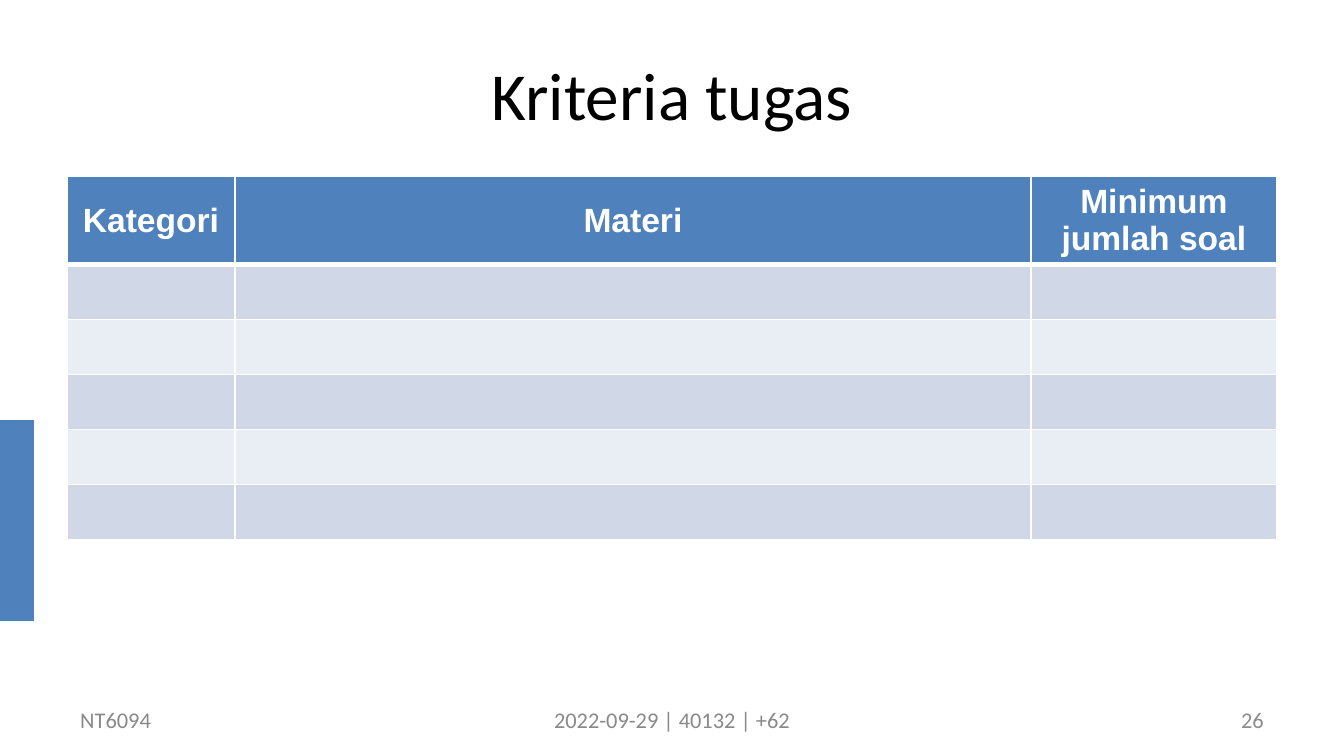
"""Build the "Kriteria tugas" slide with its empty criteria table."""
import pptx
import pptx.util
import pptx.dml.color
import pptx.enum.shapes
import pptx.enum.text
import pptx.oxml
import pptx.oxml.ns

RGB = pptx.dml.color.RGBColor
ALIGN = pptx.enum.text.PP_ALIGN
MIDDLE = pptx.enum.text.MSO_ANCHOR.MIDDLE

BLACK = RGB(0x00, 0x00, 0x00)
WHITE = RGB(0xFF, 0xFF, 0xFF)
BLUE = RGB(0x4F, 0x81, 0xBD)
BANDS = (RGB(0xD0, 0xD8, 0xE8), RGB(0xE9, 0xED, 0xF4))
FOOTER_GREY = RGB(0x89, 0x89, 0x89)
NUMBER_GREY = RGB(0x8C, 0x8C, 0x8C)

TITLE = "Kriteria tugas"
COLUMNS = [("Kategori", 168), ("Materi", 796), ("Minimum jumlah soal", 246)]
EMPTY_ROWS = 5
ROW_HEIGHT = 55
FOOTERS = [
    ("NT6094", 67, 347, ALIGN.LEFT, FOOTER_GREY),
    ("2022-09-29 | 40132 | +62", 459, 426, ALIGN.CENTER, FOOTER_GREY),
    ("26", 964, 313, ALIGN.RIGHT, NUMBER_GREY),
]


def px(length):
    """Turn px into EMU."""
    return pptx.util.Emu(round(length * 914400 / 134.4))


def box(*lengths):
    """Turn left, top, width and height in px into EMU."""
    return [px(length) for length in lengths]


def write(frame, text, size, font, color, align, bold=False):
    """Put one formatted run into a text frame."""
    frame.word_wrap = True
    frame.vertical_anchor = MIDDLE
    paragraph = frame.paragraphs[0]
    paragraph.alignment = align
    run = paragraph.add_run()
    run.text = text
    run.font.size = pptx.util.Pt(size)
    run.font.name = font
    run.font.bold = bold
    run.font.color.rgb = color


def style_cell(cell, fill, top, bottom):
    """Give a cell white borders and a solid fill."""
    properties = cell._tc.get_or_add_tcPr()
    for side, width in (("L", 1), ("R", 1), ("T", top), ("B", bottom)):
        properties.append(pptx.oxml.parse_xml(
            f'<a:ln{side} {pptx.oxml.ns.nsdecls("a")} w="{pptx.util.Pt(width)}">'
            f'<a:solidFill><a:srgbClr val="{WHITE}"/></a:solidFill></a:ln{side}>'))
    cell.fill.solid()
    cell.fill.fore_color.rgb = fill


def add_criteria(slide):
    """Add the criteria table."""
    rows = EMPTY_ROWS + 1
    width = sum(column_width for _, column_width in COLUMNS)
    criteria = slide.shapes.add_table(
        rows, len(COLUMNS), *box(67, 176, width, rows * ROW_HEIGHT)).table
    for row in range(rows):
        fill = BANDS[(row - 1) % 2] if row else BLUE
        for column in range(len(COLUMNS)):
            style_cell(criteria.cell(row, column), fill,
                       3 if row == 1 else 1, 3 if row == 0 else 1)
    for column, (heading, column_width) in enumerate(COLUMNS):
        criteria.columns[column].width = px(column_width)
        cell = criteria.cell(0, column)
        write(cell.text_frame, heading, 18, "Arial", WHITE, ALIGN.CENTER, True)
        cell.vertical_anchor = MIDDLE


def main():
    """Build and save the slide."""
    deck = pptx.Presentation()
    deck.slide_width, deck.slide_height = px(1344), px(756)
    slide = deck.slides.add_slide(deck.slide_layouts[5])

    accent = slide.shapes.add_shape(
        pptx.enum.shapes.MSO_SHAPE.RECTANGLE, *box(0, 420, 34, 201))
    accent.shadow.inherit = False
    accent.fill.solid()
    accent.fill.fore_color.rgb = BLUE
    accent.line.fill.background()

    title = slide.shapes.title
    title.left, title.top, title.width, title.height = box(67, 31, 1210, 126)
    write(title.text_frame, TITLE, 36, "Calibri", BLACK, ALIGN.CENTER)

    add_criteria(slide)

    for text, left, width, align, color in FOOTERS:
        footer = slide.shapes.add_textbox(*box(left, 700, width, 40))
        write(footer.text_frame, text, 12, "Calibri", color, align)

    deck.save("out.pptx")


if __name__ == "__main__":
    main()
